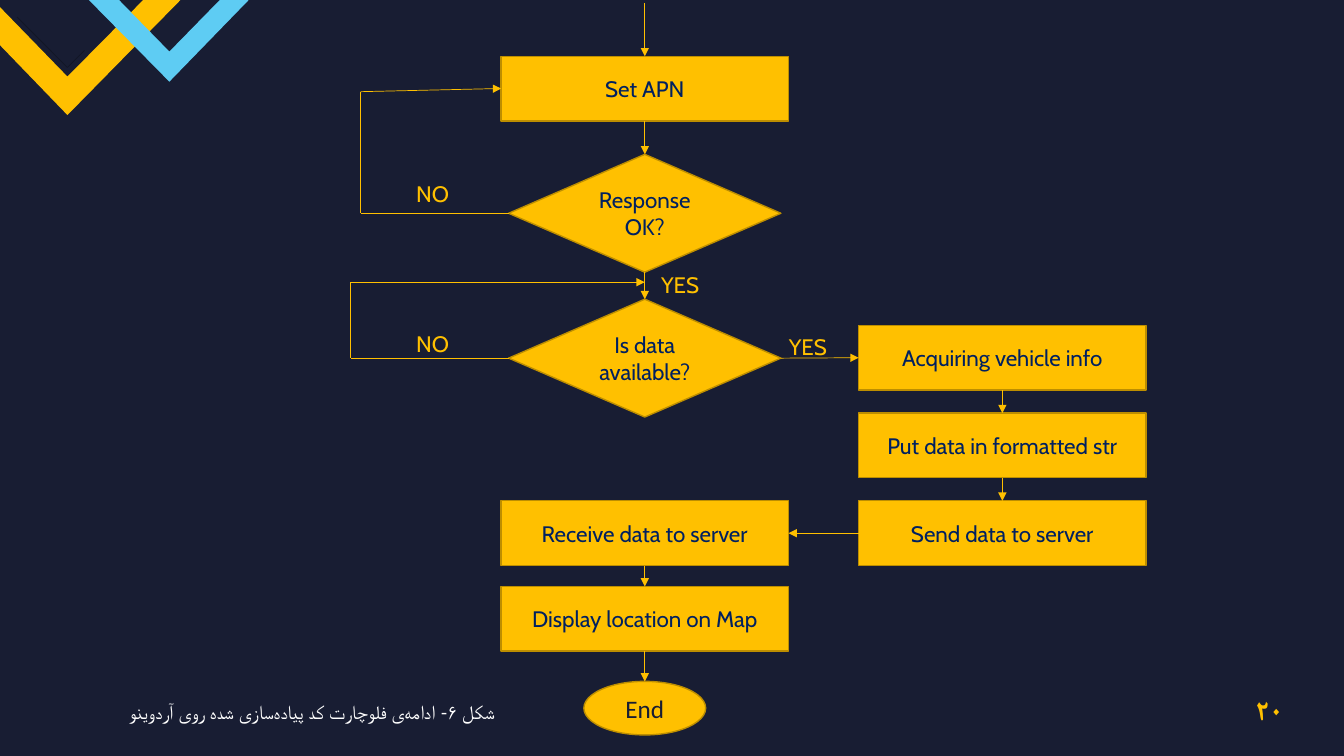
from dataclasses import dataclass

from lxml import etree
from pptx import Presentation
from pptx.dml.color import RGBColor
from pptx.enum.shapes import MSO_CONNECTOR, MSO_SHAPE
from pptx.enum.text import MSO_ANCHOR, PP_ALIGN
from pptx.oxml.ns import qn
from pptx.util import Cm, Pt

RECT = MSO_SHAPE.RECTANGLE
DECISION = MSO_SHAPE.FLOWCHART_DECISION
OVAL = MSO_SHAPE.OVAL
STRAIGHT = MSO_CONNECTOR.STRAIGHT
MIDDLE = MSO_ANCHOR.MIDDLE
LEFT, CENTER = PP_ALIGN.LEFT, PP_ALIGN.CENTER
# Connection sites
TOP, WEST, BOTTOM, EAST = range(4)


@dataclass(frozen=True)
class Theme:
    background: str = "181D33"
    gold: str = "FFC000"
    gold_edge: str = "BD8E00"
    sky: str = "5ECCF3"
    navy: str = "002060"
    shade: str = "121626"
    white: str = "FFFFFF"
    font: str = "Cabin"
    end_font: str = "Calibri"
    caption_size: int = 14
    step_size: int = 16
    end_size: int = 18
    number_size: int = 20
    edge_width: float = 1
    line_width: float = 0.5


THEME = Theme()
SIZES = {RECT: (7.24, 1.63), DECISION: (6.86, 2.97), OVAL: (3.07, 1.35)}
MAIN_X, SIDE_X = 16.25, 25.26

# name: (preset, centre x, top, text), lengths in cm
STEPS = {
    "apn": (RECT, MAIN_X, 1.42, "Set APN"),
    "response": (DECISION, MAIN_X, 3.89, "Response OK?"),
    "available": (DECISION, MAIN_X, 7.54, "Is data available?"),
    "acquire": (RECT, SIDE_X, 8.2, "Acquiring vehicle info"),
    "format": (RECT, SIDE_X, 10.41, "Put data in formatted str"),
    "send": (RECT, SIDE_X, 12.62, "Send data to server"),
    "receive": (RECT, MAIN_X, 12.62, "Receive data to server"),
    "display": (RECT, MAIN_X, 14.78, "Display location on Map"),
    "end": (OVAL, MAIN_X, 17.17, "End"),
}
LINKS = [
    ("apn", BOTTOM, "response", TOP),
    ("response", BOTTOM, "available", TOP),
    ("available", EAST, "acquire", WEST),
    ("acquire", BOTTOM, "format", TOP),
    ("format", BOTTOM, "send", TOP),
    ("send", WEST, "receive", EAST),
    ("receive", BOTTOM, "display", TOP),
    ("display", BOTTOM, "end", TOP),
]
ENTRY = [(MAIN_X, 0.08), (MAIN_X, 1.42)]
RETRY_LOOP = [(12.82, 5.37), (9.09, 5.37), (9.09, 2.31), (12.63, 2.23)]
WAIT_LOOP = [(12.82, 9.02), (8.84, 9.02), (8.84, 7.11), (MAIN_X, 7.11)]
ANSWERS = [("NO", 10.24, 8.2), ("NO", 10.24, 4.42),
           ("YES", 16.41, 6.71), ("YES", 19.63, 8.26)]
GOLD_CHEVRON = [(1.7, 2.9), (4.55, 0), (3.61, 0), (1.7, 1.93), (0, 0.18), (0, 1.14)]
SKY_CHEVRON = [(4.27, 2.06), (6.27, 0), (5.54, 0), (4.27, 1.3), (3, 0), (2.24, 0)]
CHEVRON_SEAM = [(0.43, 0.43), (1.7, 1.7), (2.13, 1.27)]
NON_JOINER = chr(8204)
CAPTION = f"شکل ۶- ادامه{NON_JOINER}ی فلوچارت کد پیاده{NON_JOINER}سازی شده روی آردوینو"


def rgb(color):
    return RGBColor.from_string(color)


def write(shape, text, color, size, font=THEME.font, align=CENTER, bold=False):
    p = shape.text_frame.paragraphs[0]
    p.alignment = align
    r = p.add_run()
    r.text = text
    r.font.color.rgb = rgb(color)
    for name, value in {"name": font, "size": Pt(size), "bold": bold}.items():
        setattr(r.font, name, value)
    return p


def fill(shape, color):
    shape.shadow.inherit = False
    shape.fill.solid()
    shape.fill.fore_color.rgb = rgb(color)


def add_step(s, preset, center, top, text):
    width, height = SIZES[preset]
    sp = s.shapes.add_shape(preset, Cm(center - width / 2), Cm(top), Cm(width), Cm(height))
    fill(sp, THEME.gold)
    sp.line.color.rgb = rgb(THEME.gold_edge)
    sp.line.width = Pt(THEME.edge_width)
    sp.text_frame.word_wrap = True
    sp.text_frame.vertical_anchor = MIDDLE
    if preset == OVAL:
        write(sp, text, THEME.background, THEME.end_size, THEME.end_font)
    else:
        write(sp, text, THEME.navy, THEME.step_size)
    return sp


def add_line(s, start=(0, 0), end=(0, 0), color=THEME.gold, arrow=True):
    line = s.shapes.add_connector(STRAIGHT, *map(Cm, (*start, *end)))
    line.line.color.rgb = rgb(color)
    line.line.width = Pt(THEME.line_width)
    if arrow:
        etree.SubElement(line.line._get_or_add_ln(), qn("a:tailEnd"), type="triangle")
    etree.SubElement(line._element.spPr, qn("a:effectLst"))
    return line


def add_route(s, points, color=THEME.gold, arrow=True):
    """Join the points with lines; an arrowhead can close the last one."""
    last = len(points) - 2
    for i, (start, end) in enumerate(zip(points, points[1:])):
        add_line(s, start, end, color, arrow and i == last)


def add_link(s, source, source_site, target, target_site):
    line = add_line(s)
    line.begin_connect(source, source_site)
    line.end_connect(target, target_site)


def add_text(s, box, text, color, size, **style):
    sp = s.shapes.add_textbox(*map(Cm, box))
    sp.text_frame.word_wrap = True
    return write(sp, text, color, size, **style)


def add_chevron(s, points, color):
    start, *rest = [(Cm(x), Cm(y)) for x, y in points]
    builder = s.shapes.build_freeform(*start)
    builder.add_line_segments(rest, close=True)
    sp = builder.convert_to_shape()
    fill(sp, color)
    sp.line.fill.background()


def main():
    prs = Presentation()
    prs.slide_width, prs.slide_height = Cm(33.87), Cm(19.05)
    s = prs.slides.add_slide(prs.slide_layouts[6])
    s.background.fill.solid()
    s.background.fill.fore_color.rgb = rgb(THEME.background)

    steps = {name: add_step(s, *step) for name, step in STEPS.items()}
    for source, source_site, target, target_site in LINKS:
        add_link(s, steps[source], source_site, steps[target], target_site)
    for route in (ENTRY, RETRY_LOOP, WAIT_LOOP):
        add_route(s, route)
    for text, left, top in ANSWERS:
        add_text(s, (left, top, 1.75, 0.94), text, THEME.gold, THEME.step_size, align=LEFT)

    caption = add_text(s, (2.11, 17.5, 11.51, 0.86), CAPTION, THEME.white, THEME.caption_size)
    caption._p.get_or_add_pPr().set("rtl", "1")

    add_chevron(s, GOLD_CHEVRON, THEME.gold)
    add_chevron(s, SKY_CHEVRON, THEME.sky)
    add_route(s, CHEVRON_SEAM, THEME.shade, arrow=False)
    add_text(s, (31.24, 17.32, 1.5, 1.12), "۲۰", THEME.gold, THEME.number_size, bold=True)
    prs.save("out.pptx")


if __name__ == "__main__":
    main()
